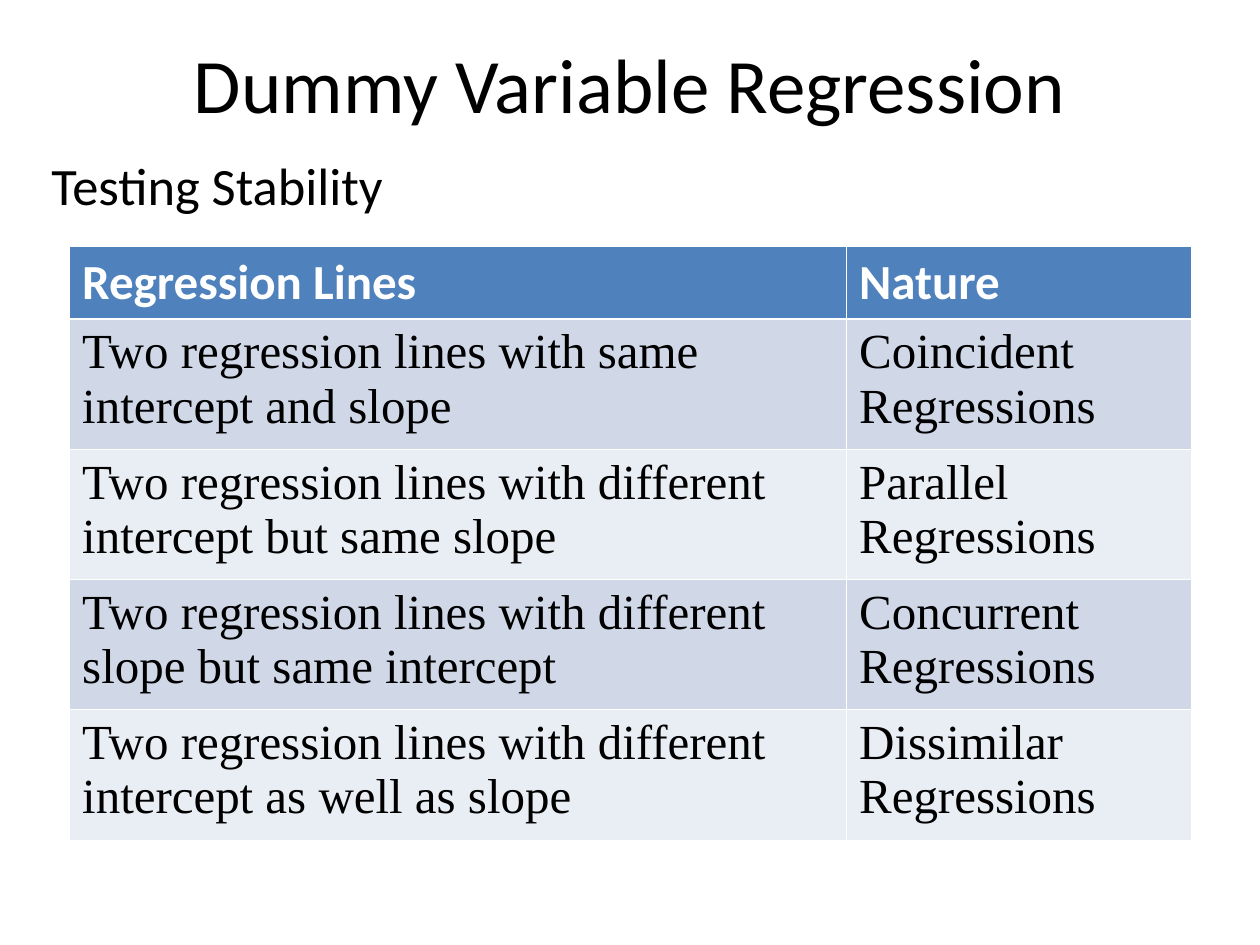
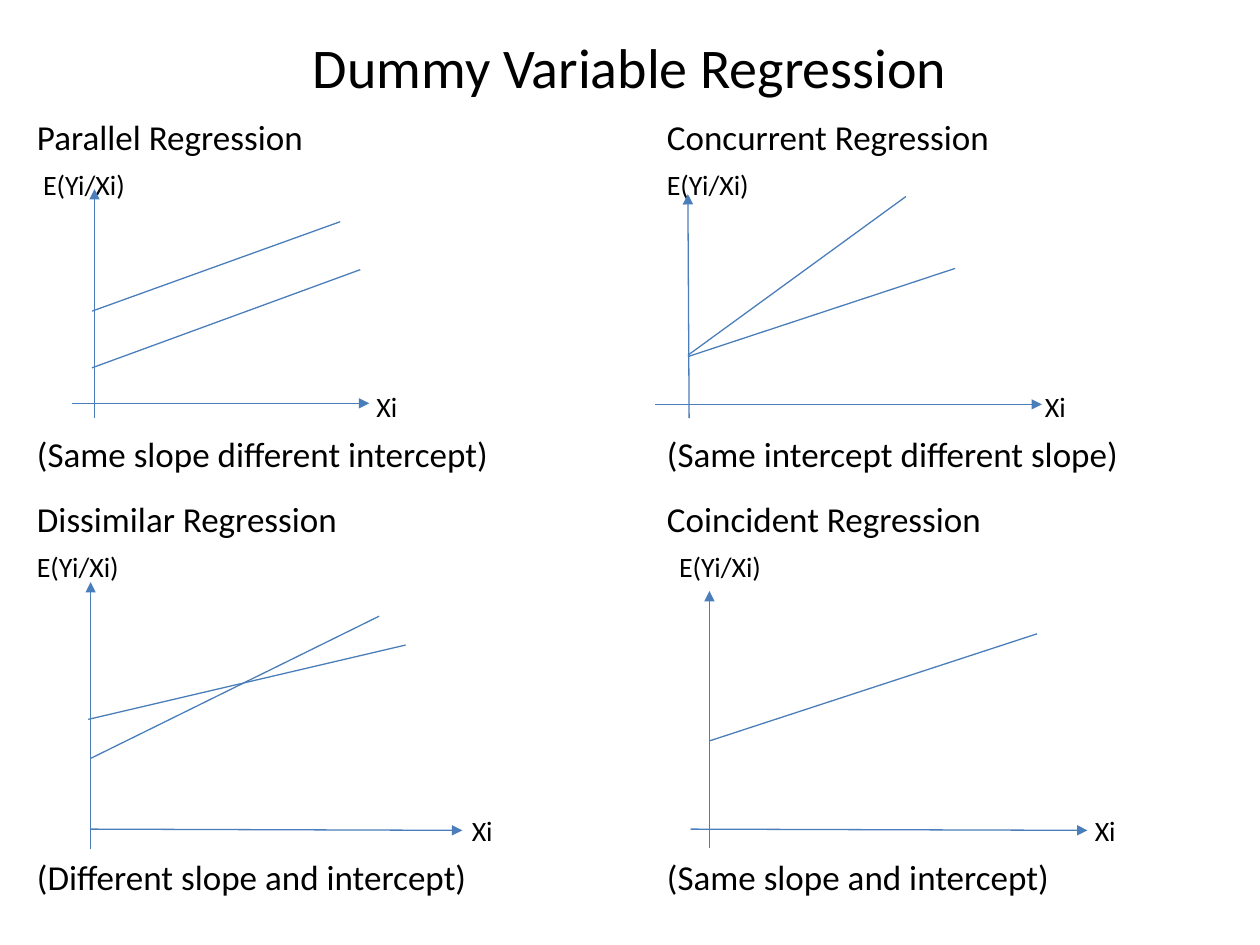
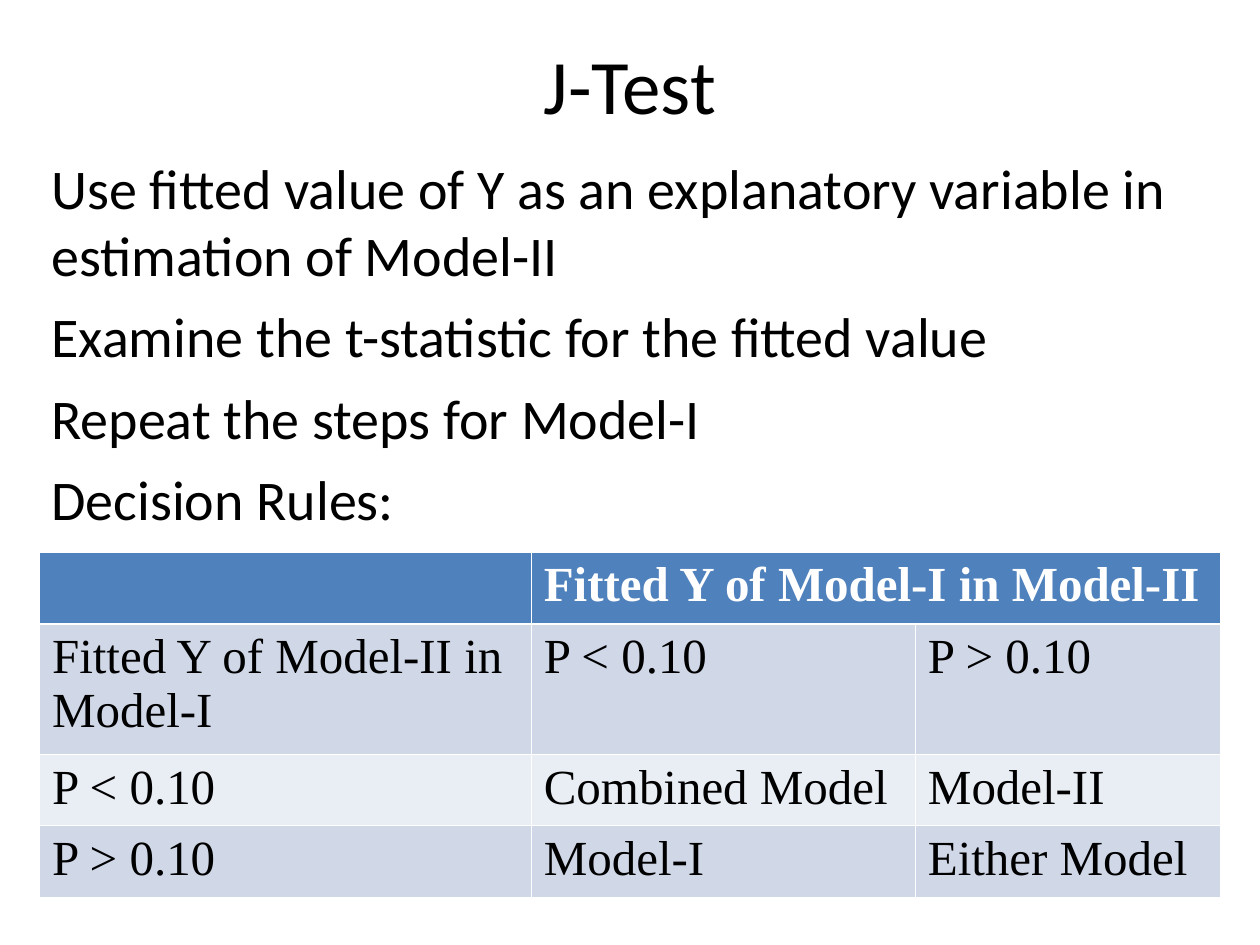
from lxml import etree
from pptx import Presentation
from pptx.dml.color import RGBColor
from pptx.enum.shapes import MSO_CONNECTOR
from pptx.enum.text import MSO_ANCHOR, PP_ALIGN
from pptx.oxml.ns import qn
from pptx.util import Pt

STRAIGHT = MSO_CONNECTOR.STRAIGHT
TOP, MIDDLE = MSO_ANCHOR.TOP, MSO_ANCHOR.MIDDLE
LEFT, CENTER = PP_ALIGN.LEFT, PP_ALIGN.CENTER

BLACK = RGBColor(0x00, 0x00, 0x00)
WHITE = RGBColor(0xFF, 0xFF, 0xFF)
HEADER_BLUE = RGBColor(0x4F, 0x81, 0xBD)
LINE_BLUE = RGBColor(0x4A, 0x7E, 0xBB)
BANDS = (RGBColor(0xD0, 0xD8, 0xE8), RGBColor(0xE9, 0xED, 0xF4))

SANS, SERIF = "Calibri", "Times New Roman"
THIN, THICK = 0.45, 1.47

LABEL_HEIGHT = 32
COLUMN_LEFTS = (14, 374)
ROWS = ((62.5, 181), (281, 204.5))

STABILITY_ROWS = (
    ("Regression Lines", "Nature"),
    ("Two regression lines with same intercept and slope", "Coincident Regressions"),
    ("Two regression lines with different intercept but same slope", "Parallel Regressions"),
    ("Two regression lines with different slope but same intercept", "Concurrent Regressions"),
    ("Two regression lines with different intercept as well as slope", "Dissimilar Regressions"),
)
DECISION_ROWS = (
    ("", "Fitted Y of Model-I in Model-II", ""),
    ("Fitted Y of Model-II in Model-I", "P < 0.10", "P > 0.10"),
    ("P < 0.10", "Combined Model", "Model-II"),
    ("P > 0.10", "Model-I", "Either Model"),
)
J_TEST_STEPS = (
    "Use fitted value of Y as an explanatory variable in estimation of Model-II",
    "Examine the t-statistic for the fitted value",
    "Repeat the steps for Model-I",
    "Decision Rules:",
)
REGRESSIONS = (
    {
        "heading": "Parallel Regression",
        "caption": "(Same slope different intercept)",
        "label_lefts": (3.5, 194),
        "axes": ((40, 176.5, 40, 45.5), (27, 168, 197, 168)),
        "fits": ((38.6, 115.3, 180.4, 64.2), (38.6, 147.7, 191.9, 91.6)),
    },
    {
        "heading": "Concurrent Regression",
        "caption": "(Same intercept different slope)",
        "label_lefts": (0, 216),
        "axes": ((19.8, 176.5, 19.1, 48.4), (0.4, 168.6, 221.4, 168.6)),
        "fits": ((19.1, 140.5, 143.7, 49.8), (19.1, 141.3, 171.8, 90.9)),
    },
    {
        "heading": "Dissimilar Regression",
        "caption": "(Different slope and intercept)",
        "label_lefts": (0, 248.5),
        "axes": ((37.8, 204.3, 37.8, 51.6), (37.8, 192.8, 250.2, 193.5)),
        "fits": ((37.8, 152.4, 202.7, 71.1), (36.4, 130.1, 217.8, 87.6)),
    },
    {
        "heading": "Coincident Regression",
        "caption": "(Same slope and intercept)",
        "label_lefts": (7, 244.5),
        "axes": ((31.4, 203.6, 31.4, 56.7), (20.6, 192.8, 247.4, 193.5)),
        "fits": ((31.4, 142.4, 218.6, 81.2),),
    },
)


def apply(target, values):
    for name, value in values.items():
        setattr(target, name, value)


def write(paragraph, text, size, font=SANS, color=BLACK, bold=False):
    run = paragraph.add_run()
    run.text = text
    apply(run.font, {"name": font, "size": Pt(size), "bold": bold})
    run.font.color.rgb = color


def add_text(slide, box, lines, size, align=LEFT, anchor=TOP, space=0):
    frame = slide.shapes.add_textbox(*map(Pt, box)).text_frame
    apply(frame, {"word_wrap": True, "vertical_anchor": anchor})
    for index, line in enumerate(lines):
        paragraph = frame.add_paragraph() if index else frame.paragraphs[0]
        apply(paragraph, {"alignment": align, "space_before": Pt(space)})
        write(paragraph, line, size)


def add_title(slide, text, top, height, size=44):
    add_text(slide, (36, top, 648, height), [text], size, CENTER, MIDDLE)


def add_border(cell, side, width):
    border = etree.SubElement(cell._tc.get_or_add_tcPr(), qn(f"a:ln{side}"), w=str(Pt(width)))
    fill = etree.SubElement(border, qn("a:solidFill"))
    etree.SubElement(fill, qn("a:srgbClr"), val=str(WHITE))


def add_grid(slide, box, rows, widths, heights, header_font):
    table = slide.shapes.add_table(len(rows), len(widths), *map(Pt, box)).table
    for column, width in zip(table.columns, widths):
        column.width = Pt(width)
    for r, (texts, height) in enumerate(zip(rows, heights)):
        table.rows[r].height = Pt(height)
        header = r == 0
        sides = {"L": THIN, "R": THIN, "T": THICK if r == 1 else THIN, "B": THICK if header else THIN}
        for c, text in enumerate(texts):
            cell = table.cell(r, c)
            for side, width in sides.items():
                add_border(cell, side, width)
            cell.fill.solid()
            cell.fill.fore_color.rgb = HEADER_BLUE if header else BANDS[(r - 1) % 2]
            if text:
                write(cell.text_frame.paragraphs[0], text, 28,
                      header_font if header else SERIF, WHITE if header else BLACK, header)
    return table


def add_line(slide, origin, ends, arrow=False):
    left, top = origin
    x1, y1, x2, y2 = ends
    points = (left + x1, top + y1, left + x2, top + y2)
    connector = slide.shapes.add_connector(STRAIGHT, *map(Pt, points))
    connector.line.width = Pt(0.75)
    connector.line.color.rgb = LINE_BLUE
    if arrow:
        etree.SubElement(connector.line._get_or_add_ln(), qn("a:tailEnd"), type="triangle")
    etree.SubElement(connector._element.spPr, qn("a:effectLst"))


def add_regression(slide, box, regression):
    left, top, width, height = box
    y_left, x_left = regression["label_lefts"]
    labels = (
        (regression["heading"], 0, 0, width, 20),
        ("E(Yi/Xi)", y_left, 29.6, 90, 16),
        ("Xi", x_left, height - 24.2, 40, 16),
        (regression["caption"], 0, height, width, 20),
    )
    for text, x, y, label_width, size in labels:
        add_text(slide, (left + x, top + y, label_width, LABEL_HEIGHT), [text], size)
    for axis in regression["axes"]:
        add_line(slide, (left, top), axis, arrow=True)
    for fit in regression["fits"]:
        add_line(slide, (left, top), fit)


def build_stability(slide):
    add_title(slide, "Dummy Variable Regression", 16.5, 62)
    add_text(slide, (22.3, 84.2, 686, 44), ["Testing Stability"], 30, space=7.5)
    add_grid(slide, (39.8, 140.8, 641, 338), STABILITY_ROWS, (444, 197),
             (41.4, 74.2, 74.2, 74.2, 74.2), SANS)


def build_regressions(slide):
    add_title(slide, "Dummy Variable Regression", 16.5, 42, 32)
    boxes = [(left, top, 320, height) for top, height in ROWS for left in COLUMN_LEFTS]
    for box, regression in zip(boxes, REGRESSIONS):
        add_regression(slide, box, regression)


def build_j_test(slide):
    add_title(slide, "J-Test", 21.6, 52)
    add_text(slide, (22.3, 84.2, 680, 226), J_TEST_STEPS, 32, space=8)
    table = add_grid(slide, (22.6, 315.4, 674.6, 196.4), DECISION_ROWS, (281, 219.5, 174.1),
                     (41, 74.2, 41, 41), SERIF)
    table.cell(0, 1).merge(table.cell(0, 2))


def main():
    deck = Presentation()
    apply(deck, {"slide_width": Pt(720), "slide_height": Pt(540)})
    for build in (build_stability, build_regressions, build_j_test):
        build(deck.slides.add_slide(deck.slide_layouts[6]))
    deck.save("out.pptx")


if __name__ == "__main__":
    main()
